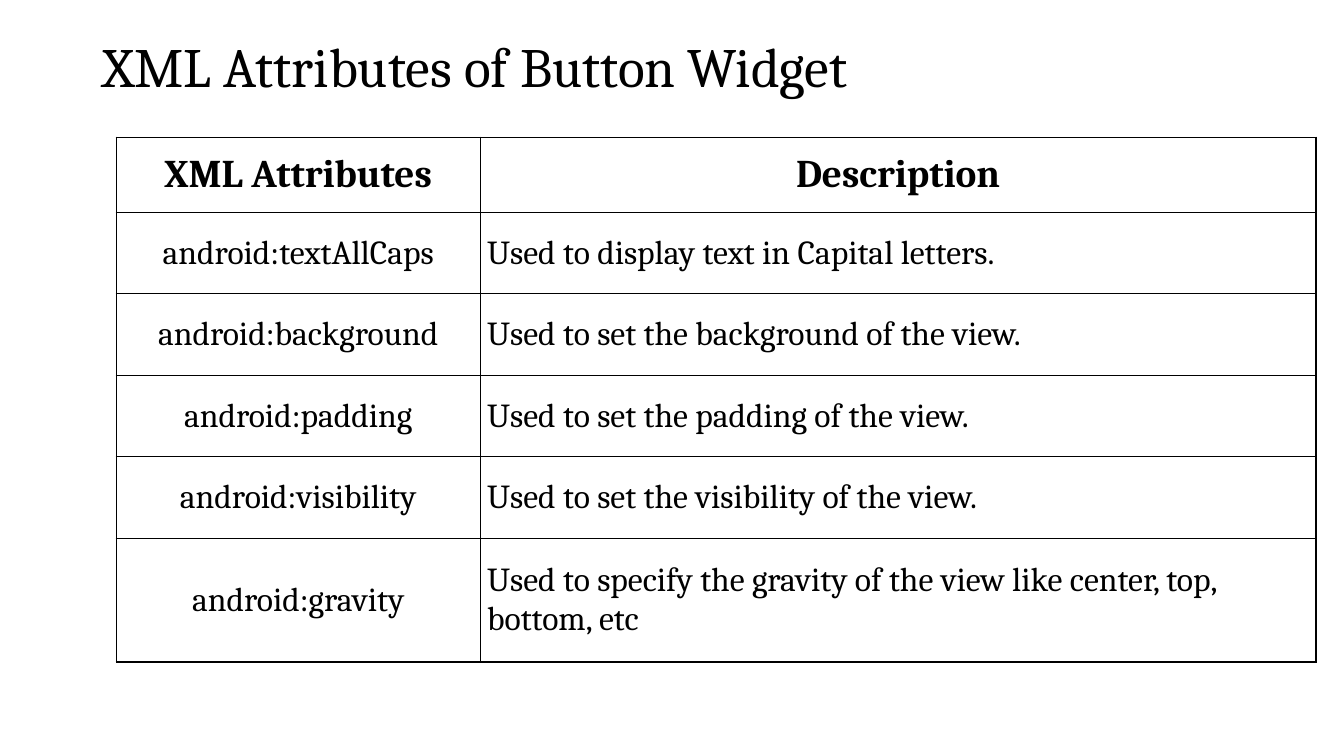
import pptx
import pptx.dml.color
import pptx.enum.text
import pptx.oxml
import pptx.oxml.ns
import pptx.util

Pt = pptx.util.Pt
ALIGN = pptx.enum.text.PP_ALIGN
MID = pptx.enum.text.MSO_ANCHOR.MIDDLE

ROWS = [
    ("XML Attributes", "Description"),
    ("android:textAllCaps", "Used to display text in Capital letters."),
    ("android:background", "Used to set the background of the view."),
    ("android:padding", "Used to set the padding of the view."),
    ("android:visibility", "Used to set the visibility of the view."),
    ("android:gravity",
     "Used to specify the gravity of the view like center, top, bottom, etc"),
]


def color(code):
    return pptx.dml.color.RGBColor.from_string(code)


def write(frame, text, size=24, bold=False, align=ALIGN.LEFT, space=1.0,
          font="Cambria", ink="000000"):
    para = frame.paragraphs[0]
    para.alignment = align
    para.line_spacing = space
    run = para.add_run()
    run.text = text
    run.font.name = font
    run.font.size = Pt(size)
    run.font.bold = bold
    run.font.color.rgb = color(ink)


class Page:
    ink = "000000"
    paper = "FFFFFF"
    rule = 1

    def __init__(self, deck):
        self.slide = deck.slides.add_slide(deck.slide_layouts[5])

    def title(self, text, left, top, width, height):
        box = self.slide.shapes.title
        box.left, box.top = Pt(left), Pt(top)
        box.width, box.height = Pt(width), Pt(height)
        frame = box.text_frame
        frame.auto_size = pptx.enum.text.MSO_AUTO_SIZE.NONE
        frame.word_wrap = True
        frame.vertical_anchor = MID
        write(frame, text, size=39.6, space=0.9, ink=self.ink)

    def border(self, cell):
        props = cell._tc.get_or_add_tcPr()
        for side in ("lnL", "lnR", "lnT", "lnB"):
            props.append(pptx.oxml.parse_xml(
                f'<a:{side} {pptx.oxml.ns.nsdecls("a")} w="{Pt(self.rule)}">'
                f'<a:solidFill><a:srgbClr val="{self.ink}"/></a:solidFill>'
                f'</a:{side}>'))

    def cell(self, cell, text, head, first):
        self.border(cell)
        cell.fill.solid()
        cell.fill.fore_color.rgb = color(self.paper)
        cell.vertical_anchor = MID
        cell.margin_left = cell.margin_right = Pt(3 if head and first else 5)
        cell.margin_top = cell.margin_bottom = Pt(5 if head else 7)
        write(cell.text_frame, text, size=28 if head else 24, bold=head,
              align=ALIGN.CENTER if head or first else ALIGN.LEFT,
              ink=self.ink)

    def table(self, rows, left, top, widths, heights):
        grid = self.slide.shapes.add_table(
            len(rows), len(widths), Pt(left), Pt(top),
            Pt(sum(widths)), Pt(sum(heights))).table
        grid.first_row = grid.horz_banding = False
        for col, width in zip(grid.columns, widths):
            col.width = Pt(width)
        for row, height in zip(grid.rows, heights):
            row.height = Pt(height)
        for r, texts in enumerate(rows):
            for c, text in enumerate(texts):
                self.cell(grid.cell(r, c), text, r == 0, c == 0)


def main():
    deck = pptx.Presentation()
    deck.slide_width, deck.slide_height = Pt(960), Pt(540)
    page = Page(deck)
    page.title("XML Attributes of Button Widget", 66, 29, 677.5, 41.5)
    page.table(ROWS, 83, 98, [260, 597], [53.7] + [58.25] * 4 + [88.3])
    deck.save("out.pptx")


if __name__ == "__main__":
    main()
